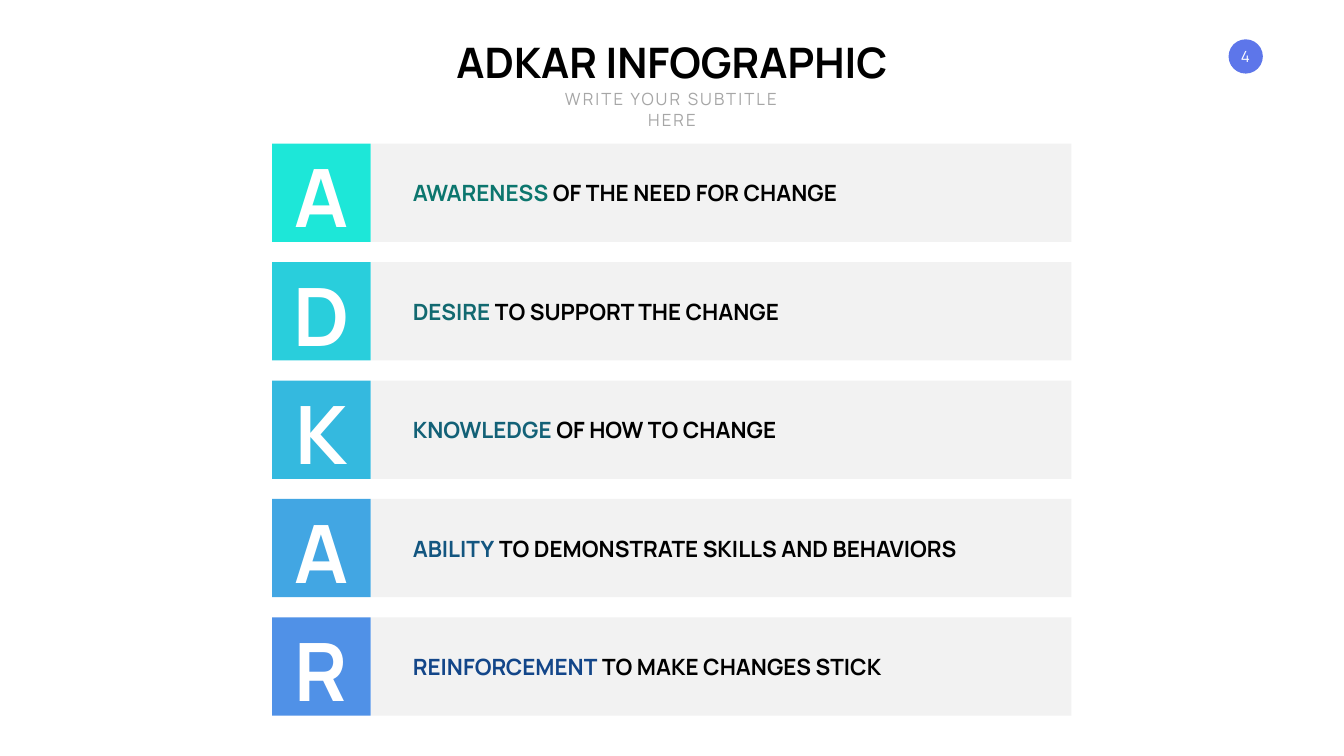
"""Build the ADKAR infographic slide: five lettered bars under a centred title."""
import pptx
import pptx.util
from pptx.dml.color import RGBColor
from pptx.enum.shapes import MSO_SHAPE
from pptx.enum.text import MSO_ANCHOR, MSO_AUTO_SIZE, PP_ALIGN

FONT = "Manrope"
WHITE = RGBColor(0xFF, 0xFF, 0xFF)
BLACK = RGBColor(0x00, 0x00, 0x00)
GREY = RGBColor(0xA6, 0xA6, 0xA6)
PALE = RGBColor(0xF2, 0xF2, 0xF2)
BLUE = RGBColor(0x5D, 0x76, 0xEA)

ROWS = [
    ("AWARENESS", " OF THE NEED FOR CHANGE", 8.87,
     RGBColor(0x1D, 0xE7, 0xD8), RGBColor(0x0C, 0x76, 0x6E)),
    ("DESIRE", " TO SUPPORT THE CHANGE", 7.53,
     RGBColor(0x29, 0xCE, 0xDC), RGBColor(0x12, 0x69, 0x70)),
    ("KNOWLEDGE", " OF HOW TO CHANGE", 7.71,
     RGBColor(0x34, 0xB9, 0xDF), RGBColor(0x13, 0x61, 0x77)),
    ("ABILITY", " TO DEMONSTRATE SKILLS AND BEHAVIORS", 11.31,
     RGBColor(0x42, 0xA6, 0xE3), RGBColor(0x13, 0x56, 0x80)),
    ("REINFORCEMENT", " TO MAKE CHANGES STICK", 9.76,
     RGBColor(0x50, 0x91, 0xE7), RGBColor(0x13, 0x46, 0x89)),
]

WIDE, HIGH = 26.66, 15
LEFT, TOP, SIDE, STEP = 5.4, 2.85, 1.95, 2.35
BAR_LEFT, BAR_WIDE = 7.36, 13.89
LABEL_LEFT, LABEL_HIGH = 8.09, 0.64
LETTER_WIDE, LETTER_HIGH = 1.39, 2.04


def to_emu(box):
    return [pptx.util.Inches(size) for size in box]


def add_block(slide, kind, box, color):
    shape = slide.shapes.add_shape(kind, *to_emu(box))
    shape.shadow.inherit = False
    shape.fill.solid()
    shape.fill.fore_color.rgb = color
    shape.line.fill.background()


def add_text(slide, box, parts, size, bold=False, align=PP_ALIGN.CENTER,
             anchor=MSO_ANCHOR.MIDDLE, wrap=False, gap=0):
    frame = slide.shapes.add_textbox(*to_emu(box)).text_frame
    frame.word_wrap = wrap
    frame.auto_size = MSO_AUTO_SIZE.SHAPE_TO_FIT_TEXT
    frame.vertical_anchor = anchor
    line = frame.paragraphs[0]
    line.alignment = align
    for text, color in parts:
        run = line.add_run()
        run.text = text
        run.font.name = FONT
        run.font.size = pptx.util.Pt(size)
        run.font.bold = bold
        run.font.color.rgb = color
        if gap:
            run.font._element.set("spc", str(gap * 100))


def add_row(slide, index, row):
    word, rest, width, color, dark = row
    top = TOP + index * STEP
    mid = top + SIDE / 2
    add_block(slide, MSO_SHAPE.RECTANGLE, (LEFT, top, SIDE, SIDE), color)
    add_block(slide, MSO_SHAPE.RECTANGLE, (BAR_LEFT, top, BAR_WIDE, SIDE), PALE)
    inset = (SIDE - LETTER_WIDE) / 2
    add_text(slide, (LEFT + inset, top + 0.01, LETTER_WIDE, LETTER_HIGH),
             [(word[0], WHITE)], 115, bold=True)
    add_text(slide, (LABEL_LEFT, mid - LABEL_HIGH / 2, width, LABEL_HIGH),
             [(word, dark), (rest, BLACK)], 32, bold=True, align=PP_ALIGN.LEFT)


def main():
    deck = pptx.Presentation()
    deck.slide_width, deck.slide_height = to_emu((WIDE, HIGH))
    slide = deck.slides.add_slide(deck.slide_layouts[6])
    add_block(slide, MSO_SHAPE.OVAL, (24.37, 0.78, 0.68, 0.68), BLUE)
    add_text(slide, (24.38, 0.89, 0.65, 0.47), [("4", WHITE)], 22, wrap=True)
    add_text(slide, ((WIDE - 9.22) / 2, 0.67, 9.22, 1.11),
             [("ADKAR INFOGRAPHIC", BLACK)], 60, bold=True, anchor=MSO_ANCHOR.TOP)
    add_text(slide, ((WIDE - 5.43) / 2, 1.72, 5.43, 0.5),
             [("WRITE YOUR SUBTITLE HERE", GREY)], 24, anchor=MSO_ANCHOR.TOP,
             wrap=True, gap=3)
    for index, row in enumerate(ROWS):
        add_row(slide, index, row)
    deck.save("out.pptx")


if __name__ == "__main__":
    main()
